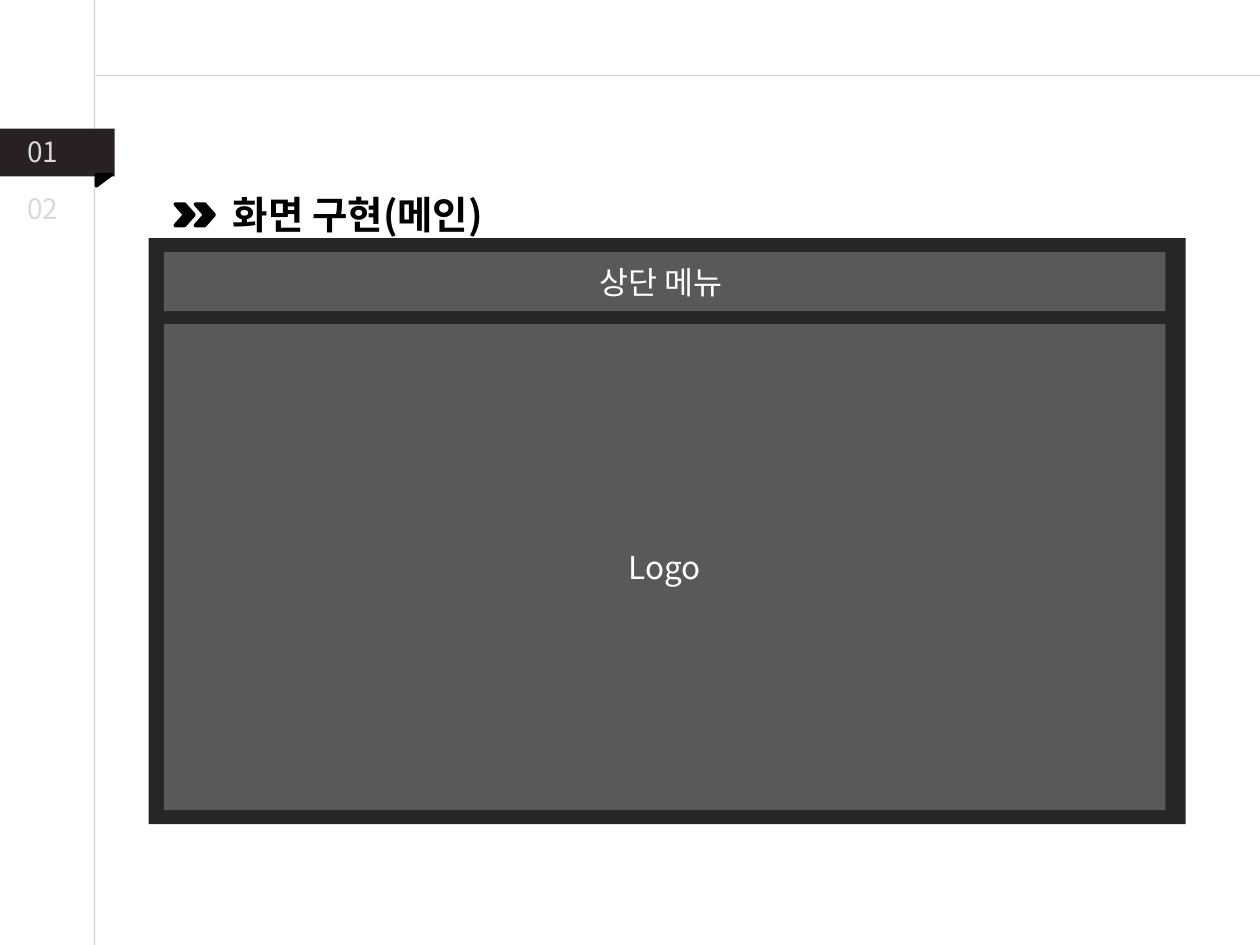
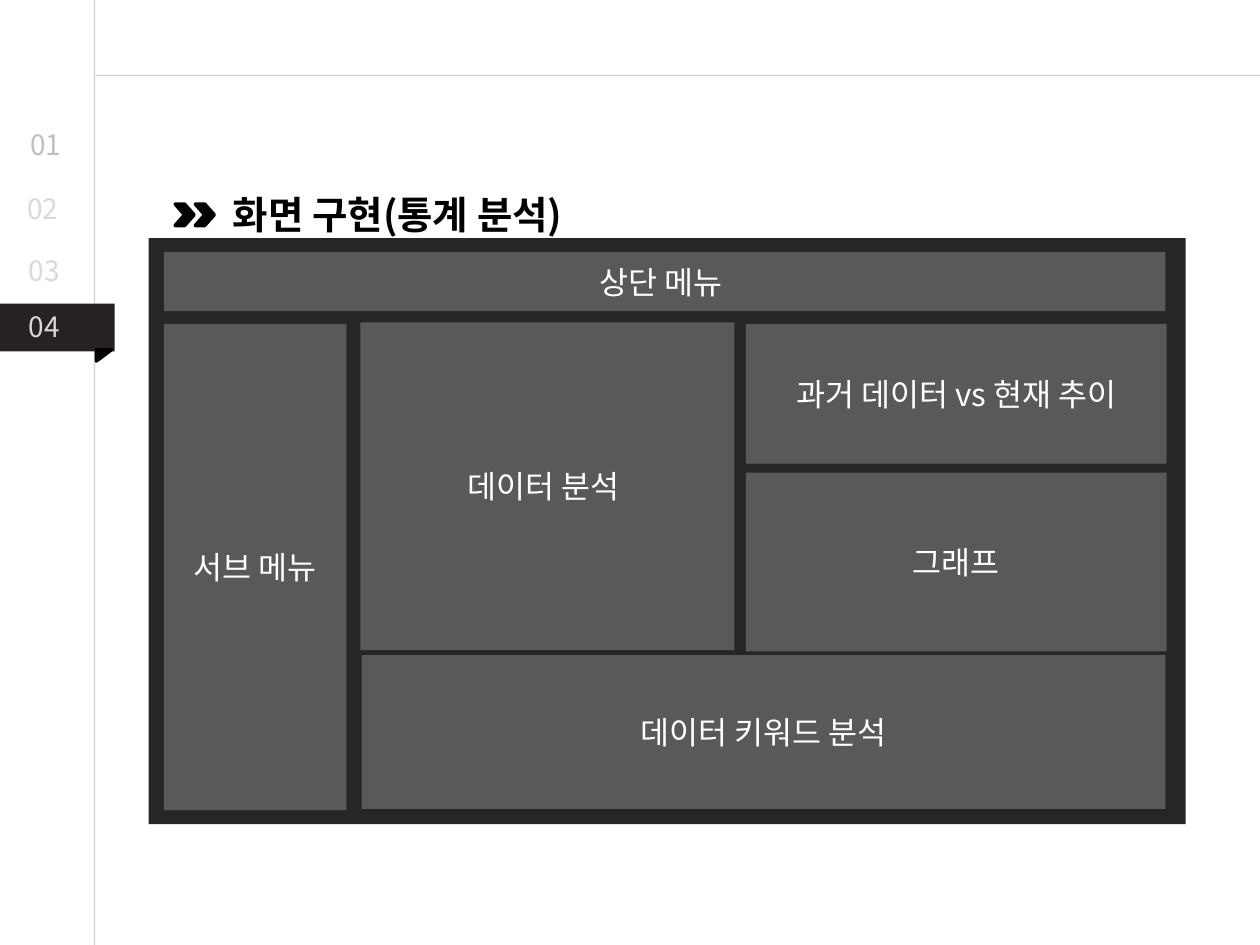
from lxml.etree import SubElement
from pptx import Presentation
from pptx.dml.color import RGBColor
from pptx.enum.shapes import MSO_CONNECTOR, MSO_SHAPE as SHAPE
from pptx.enum.text import MSO_ANCHOR, MSO_AUTO_SIZE, PP_ALIGN
from pptx.oxml.ns import qn
from pptx.util import Inches, Pt

FONT = "Noto Sans CJK KR"
COLORS = {
    "black": "000000", "white": "FFFFFF", "rule": "A6A6A6", "tab": "272123",
    "frame": "262626", "panel": "595959", "number": "D9D9D9",
    "visited": "BFBFBF", "title_edge": "7AB53D",
}
WIDTH, HEIGHT = 10, 7.5
RULES = [(0.75, 0, 0.75, HEIGHT), (WIDTH, 0.6, 0.76, 0.6)]
CHEVRON_LEFTS = [1.55, 1.39]
FRAME = (1.18, 1.89, 8.23, 4.65)
TOP_MENU = ("상단 메뉴 ", 1.3, 2, 7.95, 0.47)

# numbers: label, left, top, colour; panels: label, left, top, width, height
SLIDES = [
    {
        "title": "화면 구현(메인)",
        "tab_top": 1.02,
        "numbers": [("02", 0.12, 1.47, "number"), ("01", 0.12, 1.02, "number")],
        "panels": [TOP_MENU, ("Logo", 1.3, 2.57, 7.95, 3.86)],
    },
    {
        "title": "화면 구현(통계 분석)",
        "tab_top": 2.41,
        "numbers": [("02", 0.12, 1.47, "number"), ("01", 0.14, 0.96, "visited"),
                    ("03", 0.13, 1.96, "number"), ("04", 0.13, 2.41, "number")],
        "panels": [
            TOP_MENU,
            ("서브 메뉴", 1.3, 2.57, 1.45, 3.86),
            ("데이터 분석 ", 2.86, 2.56, 2.97, 2.6),
            ("과거 데이터 vs 현재 추이", 5.92, 2.57, 3.34, 1.11),
            ("데이터 키워드 분석", 2.87, 5.2, 6.38, 1.22),
            ("그래프", 5.92, 3.75, 3.34, 1.42),
        ],
    },
]


def rgb(color):
    return RGBColor.from_string(COLORS[color])


def set_alpha(parent, percent):
    """Make the solid colour found inside parent partly transparent."""
    SubElement(next(parent.iter(qn("a:srgbClr"))), qn("a:alpha"), val=str(percent * 1000))


def write(tf, text, size, color, bold=False):
    p = tf.paragraphs[0]
    p.text = text
    p.font.size, p.font.name, p.font.bold = Pt(size), FONT, bold
    p.font.color.rgb = rgb(color)
    SubElement(p._p.pPr.find(qn("a:defRPr")), qn("a:ea"), typeface=FONT)
    return p


def add_text(s, box, text, size, color, edge="black", bold=False):
    """Add a text box whose letters have a thin translucent outline."""
    tf = s.shapes.add_textbox(*map(Inches, box)).text_frame
    tf.word_wrap = True
    tf.auto_size = MSO_AUTO_SIZE.SHAPE_TO_FIT_TEXT
    p = write(tf, text, size, color, bold)
    ln = SubElement(p.runs[0]._r.get_or_add_rPr(), qn("a:ln"), w=str(Pt(0.75)))
    SubElement(SubElement(ln, qn("a:solidFill")), qn("a:srgbClr"), val=COLORS[edge])
    set_alpha(ln, 30)


def add_block(s, box, color, kind=SHAPE.RECTANGLE, line_width=0):
    sp = s.shapes.add_shape(kind, *map(Inches, box))
    sp.shadow.inherit = False
    sp.fill.solid()
    sp.fill.fore_color.rgb = rgb(color)
    if line_width:
        sp.line.color.rgb = rgb(color)
        sp.line.width = Pt(line_width)
    else:
        sp.line.fill.background()
    return sp


def add_rule(s, ends):
    line = s.shapes.add_connector(MSO_CONNECTOR.STRAIGHT, *map(Inches, ends))
    line.line.color.rgb = rgb("rule")
    line.line.width = Pt(0.75)
    sp_pr = line._element.spPr
    set_alpha(sp_pr, 50)
    SubElement(sp_pr, qn("a:effectLst"))


def add_panel(s, label, *box):
    tf = add_block(s, box, "panel").text_frame
    tf.word_wrap = True
    tf.vertical_anchor = MSO_ANCHOR.MIDDLE
    write(tf, label, 18, "white").alignment = PP_ALIGN.CENTER


def add_tab(s, top):
    """Add the ribbon that marks the current section, with its folded corner."""
    add_block(s, (0, top, 0.91, 0.38), "tab")
    fold = add_block(s, (0.78, top + 0.35, 0.09, 0.12), "black", SHAPE.RIGHT_TRIANGLE, 2)
    fold.rotation = 90


def build_slide(prs, content):
    s = prs.slides.add_slide(prs.slide_layouts[6])
    for ends in RULES:
        add_rule(s, ends)
    for left in CHEVRON_LEFTS:
        add_block(s, (left, 1.62, 0.15, 0.17), "black", SHAPE.CHEVRON, 2)
    add_text(s, (1.75, 1.47, 4.09, 0.47), content["title"], 22, "black", "title_edge", True)
    add_block(s, FRAME, "frame")
    for panel in content["panels"]:
        add_panel(s, *panel)
    add_tab(s, content["tab_top"])
    for label, left, top, color in content["numbers"]:
        add_text(s, (left, top, 0.7, 0.37), label, 16, color)


def main():
    prs = Presentation()
    prs.slide_width, prs.slide_height = Inches(WIDTH), Inches(HEIGHT)
    for content in SLIDES:
        build_slide(prs, content)
    prs.save("out.pptx")


if __name__ == "__main__":
    main()
